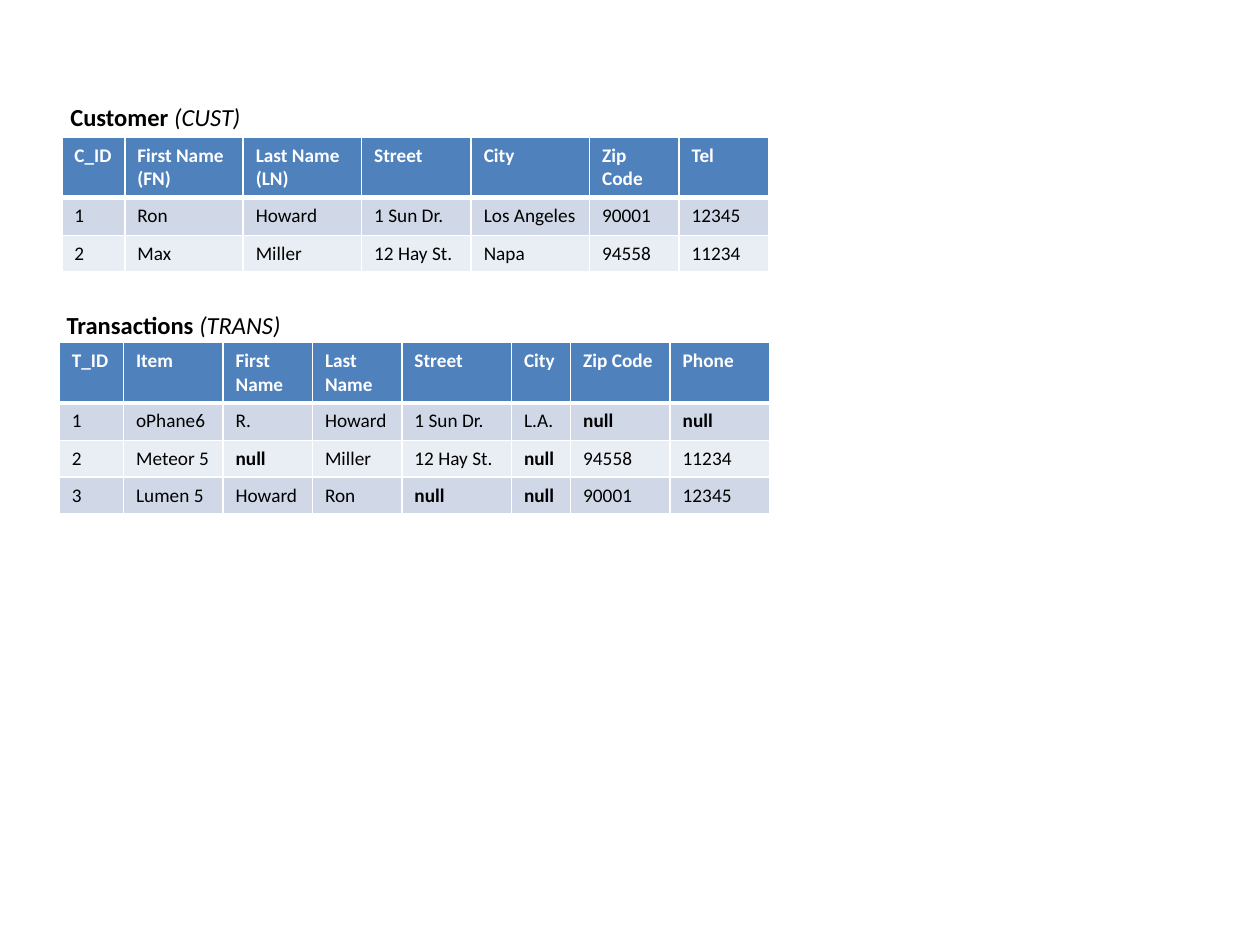
from lxml.etree import SubElement
from pptx import Presentation
from pptx.dml.color import RGBColor
from pptx.oxml.ns import qn
from pptx.util import Inches, Pt

HEADER, BANDS = "4F81BD", ("E9EDF4", "D0D8E8")
WHITE, BLACK = "FFFFFF", "000000"
HEADER_HEIGHT, FIRST_HEIGHT, ROW_HEIGHT = 0.47, 0.3, 0.29


def color(value):
    return RGBColor.from_string(value)


def style_run(r, size, value, bold=False, italic=False):
    r.font.name = "Calibri"
    r.font.size = Pt(size)
    r.font.color.rgb = color(value)
    r.font.bold = bold
    r.font.italic = italic


def add_borders(cell, row):
    tcPr = cell._tc.get_or_add_tcPr()
    widths = {"L": 1, "R": 1, "T": 3 if row == 1 else 1, "B": 3 if row == 0 else 1}
    for i, (side, width) in enumerate(widths.items()):
        ln = SubElement(tcPr, qn(f"a:ln{side}"), w=str(Pt(width)))
        fill = SubElement(ln, qn("a:solidFill"))
        SubElement(fill, qn("a:srgbClr"), val=WHITE)
        tcPr.insert(i, ln)


def add_title(s, left, top, width, name, code):
    sp = s.shapes.add_textbox(Inches(left), Inches(top), Inches(width), Inches(0.34))
    tf = sp.text_frame
    tf.word_wrap = False
    p = tf.paragraphs[0]
    for text, is_name in ((name + " ", True), (f"({code})", False)):
        r = p.add_run()
        r.text = text
        style_run(r, 14, BLACK, bold=is_name, italic=not is_name)


def add_grid(s, left, top, widths, rows):
    heights = [HEADER_HEIGHT, FIRST_HEIGHT] + [ROW_HEIGHT] * (len(rows) - 2)
    table = s.shapes.add_table(
        len(rows), len(widths), Inches(left), Inches(top),
        Inches(sum(widths)), Inches(sum(heights))).table
    for column, width in zip(table.columns, widths):
        column.width = Inches(width)
    for i, (values, height) in enumerate(zip(rows, heights)):
        table.rows[i].height = Inches(height)
        for j, value in enumerate(values):
            cell = table.cell(i, j)
            cell.text_frame.text = value
            r = cell.text_frame.paragraphs[0].runs[0]
            style_run(r, 11, BLACK if i else WHITE, bold=i == 0 or value == "null")
            cell.fill.solid()
            cell.fill.fore_color.rgb = color(BANDS[i % 2] if i else HEADER)
            add_borders(cell, i)


customers = [
    ["C_ID", "First Name (FN)", "Last Name (LN)", "Street", "City", "Zip Code", "Tel"],
    ["1", "Ron", "Howard", "1 Sun Dr.", "Los Angeles", "90001", "12345"],
    ["2", "Max", "Miller", "12 Hay St.", "Napa", "94558", "11234"],
]
transactions = [
    ["T_ID", "Item", "First Name", "Last Name", "Street", "City", "Zip Code", "Phone"],
    ["1", "oPhane6", "R.", "Howard", "1 Sun Dr.", "L.A.", "null", "null"],
    ["2", "Meteor 5", "null", "Miller", "12 Hay St.", "null", "94558", "11234"],
    ["3", "Lumen 5", "Howard", "Ron", "null", "null", "90001", "12345"],
]

prs = Presentation()
prs.slide_width, prs.slide_height = Inches(10), Inches(7.5)
s = prs.slides.add_slide(prs.slide_layouts[6])
add_grid(s, 0.49, 1.09, [0.5, 0.94, 0.94, 0.87, 0.94, 0.71, 0.71], customers)
add_grid(s, 0.47, 2.72, [0.51, 0.79, 0.71, 0.71, 0.87, 0.47, 0.79, 0.79], transactions)
add_title(s, 0.46, 0.76, 1.56, "Customer", "CUST")
add_title(s, 0.43, 2.41, 1.94, "Transactions", "TRANS")
prs.save("out.pptx")
